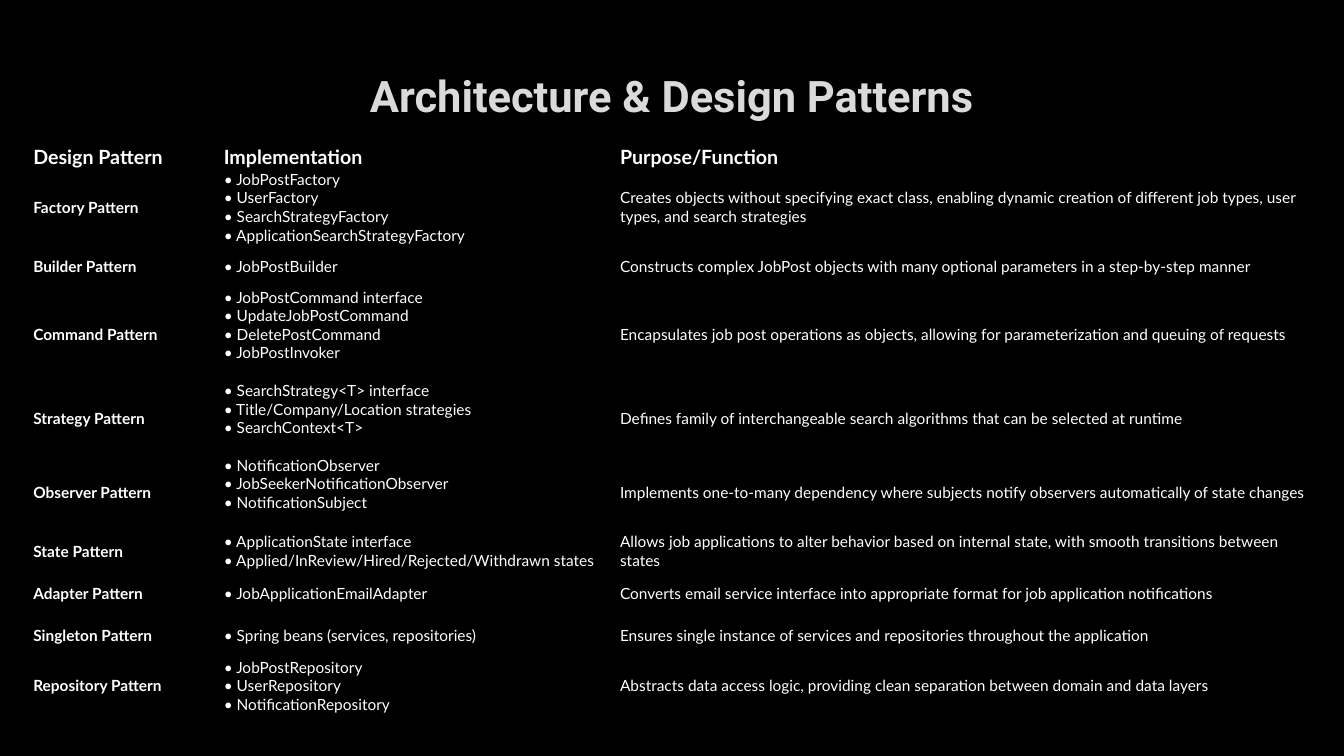
from pptx import Presentation
from pptx.dml.color import RGBColor
from pptx.enum.text import MSO_ANCHOR, PP_ALIGN
from pptx.oxml.ns import qn
from pptx.util import Inches, Pt

TITLE = "Architecture & Design Patterns"
HEADINGS = ("Design Pattern", "Implementation", "Purpose/Function")
# Pattern, implementations, purpose, row height in inches
PATTERNS = [
    ("Factory Pattern",
     ["JobPostFactory", "UserFactory", "SearchStrategyFactory", "ApplicationSearchStrategyFactory"],
     "Creates objects without specifying exact class, enabling dynamic creation of different "
     "job types, user types, and search strategies", 0.75),
    ("Builder Pattern",
     ["JobPostBuilder"],
     "Constructs complex JobPost objects with many optional parameters in a step-by-step manner", 0.42),
    ("Command Pattern",
     ["JobPostCommand interface", "UpdateJobPostCommand", "DeletePostCommand", "JobPostInvoker"],
     "Encapsulates job post operations as objects, allowing for parameterization and queuing "
     "of requests", 0.93),
    ("Strategy Pattern",
     ["SearchStrategy<T> interface", "Title/Company/Location strategies", "SearchContext<T>"],
     "Defines family of interchangeable search algorithms that can be selected at runtime", 0.74),
    ("Observer Pattern",
     ["NotificationObserver", "JobSeekerNotificationObserver", "NotificationSubject"],
     "Implements one-to-many dependency where subjects notify observers automatically of "
     "state changes", 0.74),
    ("State Pattern",
     ["ApplicationState interface", "Applied/InReview/Hired/Rejected/Withdrawn states"],
     "Allows job applications to alter behavior based on internal state, with smooth "
     "transitions between states", 0.42),
    ("Adapter Pattern",
     ["JobApplicationEmailAdapter"],
     "Converts email service interface into appropriate format for job application notifications", 0.42),
    ("Singleton Pattern",
     ["Spring beans (services, repositories)"],
     "Ensures single instance of services and repositories throughout the application", 0.42),
    ("Repository Pattern",
     ["JobPostRepository", "UserRepository", "NotificationRepository"],
     "Abstracts data access logic, providing clean separation between domain and data layers", 0.57),
]
RAISED_LISTS = {"Command Pattern", "Strategy Pattern", "Observer Pattern"}
COLUMN_WIDTHS = (1.89, 3.93, 6.93)
HEADER_HEIGHT = 0.24
LINE_HEIGHT = 0.18
COLORS = {"background": "000000", "title": "DADADA", "text": "FFFFFF"}
NO_STYLE = "{2D5ABB26-0587-4C30-8999-92F81FD0307C}"


def set_font(paragraph, name, size, color, bold):
    font = paragraph.font
    font.name, font.size, font.bold = name, Pt(size), bold
    font.color.rgb = RGBColor.from_string(COLORS[color])


def fill_cell(cell, lines, size, bold, bottom=0):
    cell.fill.background()
    cell.vertical_anchor = MSO_ANCHOR.MIDDLE
    cell.margin_left = cell.margin_right = cell.margin_top = 0
    cell.margin_bottom = Inches(bottom)
    cell.text = "\n".join(lines)
    for paragraph in cell.text_frame.paragraphs:
        set_font(paragraph, "Lato", size, "text", bold)


def add_title(slide):
    title = slide.shapes.title
    title.left, title.top = Inches(1), Inches(0.67)
    title.width, title.height = Inches(11.32), Inches(1.06)
    frame = title.text_frame
    frame.text = TITLE
    frame.word_wrap = True
    frame.vertical_anchor = MSO_ANCHOR.MIDDLE
    frame.margin_bottom = Inches(0.5)
    paragraph = frame.paragraphs[0]
    paragraph.alignment = PP_ALIGN.CENTER
    paragraph.line_spacing = 0.9
    set_font(paragraph, "Roboto", 31, "title", True)


def add_pattern_table(slide):
    heights = [HEADER_HEIGHT] + [pattern[3] for pattern in PATTERNS]
    frame = slide.shapes.add_table(
        len(heights), len(COLUMN_WIDTHS), Inches(0.33), Inches(1.44),
        Inches(sum(COLUMN_WIDTHS)), Inches(sum(heights)))
    table = frame.table
    table.first_row = table.horz_banding = False
    for style in frame.element.iter(qn("a:tableStyleId")):
        style.text = NO_STYLE
    for column, width in zip(table.columns, COLUMN_WIDTHS):
        column.width = Inches(width)
    for row, height in zip(table.rows, heights):
        row.height = Inches(height)

    # Header row
    for cell, heading in zip(table.rows[0].cells, HEADINGS):
        fill_cell(cell, [heading], 14, True)

    # One row per pattern
    for index, (name, classes, purpose, _) in enumerate(PATTERNS, start=1):
        bottom = LINE_HEIGHT if name in RAISED_LISTS else 0
        fill_cell(table.cell(index, 0), [name], 11, True)
        fill_cell(table.cell(index, 1), [f"• {item}" for item in classes], 11, False, bottom)
        fill_cell(table.cell(index, 2), [purpose], 11, False)


def main():
    presentation = Presentation()
    presentation.slide_width, presentation.slide_height = Inches(13.33), Inches(7.5)
    slide = presentation.slides.add_slide(presentation.slide_layouts[5])
    slide.background.fill.solid()
    slide.background.fill.fore_color.rgb = RGBColor.from_string(COLORS["background"])
    add_title(slide)
    add_pattern_table(slide)
    presentation.save("out.pptx")


if __name__ == "__main__":
    main()
